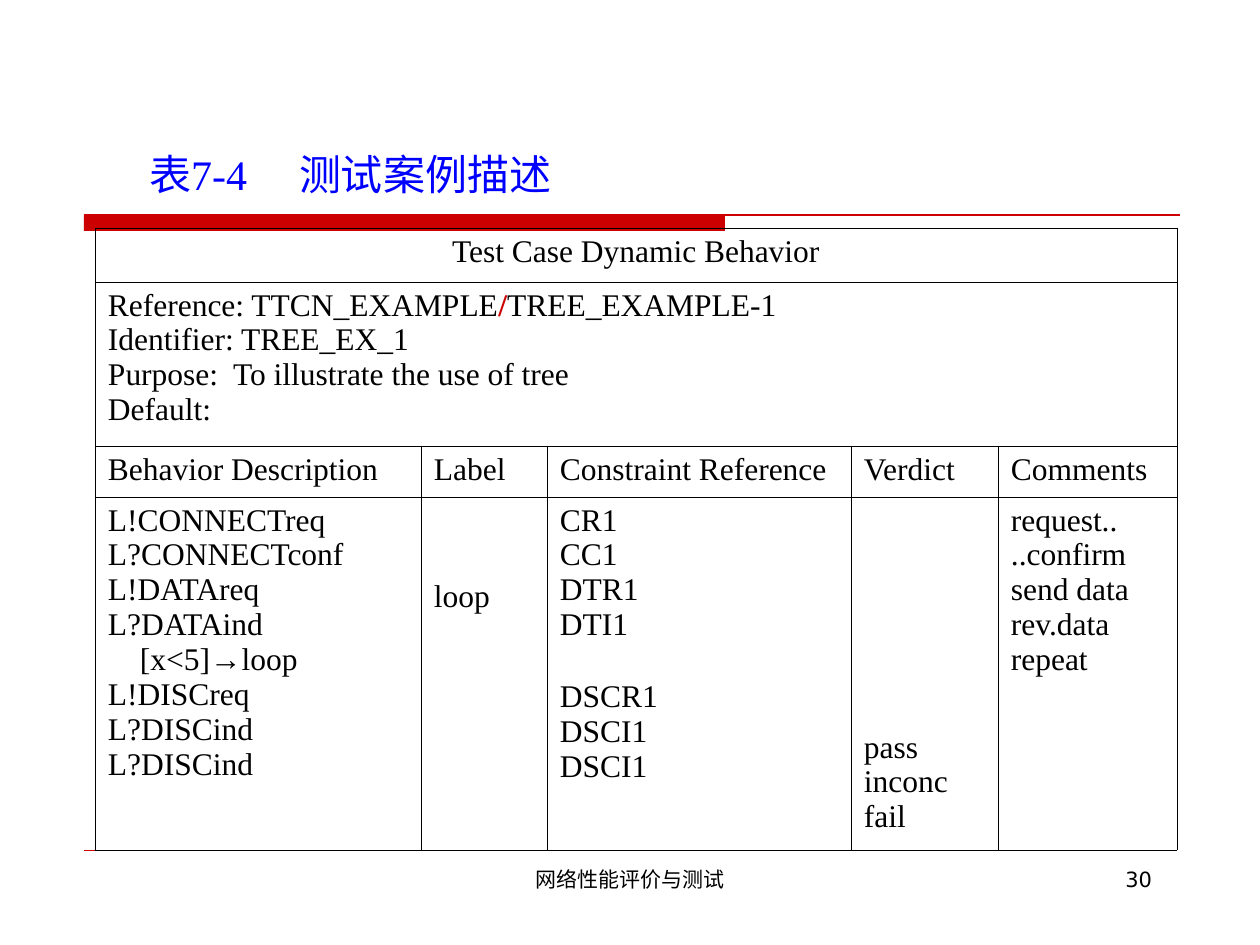
from lxml import etree
from pptx import Presentation
from pptx.dml.color import RGBColor
from pptx.enum.shapes import MSO_CONNECTOR, MSO_SHAPE
from pptx.enum.text import MSO_ANCHOR, MSO_AUTO_SIZE, PP_ALIGN
from pptx.oxml.ns import qn
from pptx.util import Pt

LEFT, MID, RIGHT = PP_ALIGN.LEFT, PP_ALIGN.CENTER, PP_ALIGN.RIGHT
TOP, CENTRE = MSO_ANCHOR.TOP, MSO_ANCHOR.MIDDLE
RECT, STRAIGHT = MSO_SHAPE.RECTANGLE, MSO_CONNECTOR.STRAIGHT
NONE = MSO_AUTO_SIZE.NONE

SCALE = 914400 / 126  # EMU in one px
PAD_X, PAD_Y = 13, 6


class Theme:
    black, blue, red = (RGBColor.from_string(c) for c in ("000000", "0000FF", "CC0000"))
    title = {"name": "Times New Roman", "size": Pt(24), "color": blue, "bold": False}
    body = {"name": "Times New Roman", "size": Pt(18), "color": black, "bold": False}
    foot = {"name": "DejaVu Sans", "size": Pt(12), "color": black, "bold": False}
    slash = {"color": red, "bold": True}
    arrow = {"name": "Arial"}
    border = 0.45


COLS = [326, 126, 304, 147, 179]
ROWS = [54, 164, 51, 353]
HEADS = ["Behavior Description", "Label", "Constraint Reference", "Verdict", "Comments"]
ABOUT = [
    [("Reference: TTCN_EXAMPLE", {}), ("/", Theme.slash), ("TREE_EXAMPLE-1", {})],
    "Identifier: TREE_EX_1",
    "Purpose:\tTo illustrate the use of tree",
    "Default:",
]
STEPS = [
    "L!CONNECTreq", "L?CONNECTconf", "L!DATAreq", "L?DATAind",
    [("[x<5]", {}), ("→", Theme.arrow), ("loop", {})],
    "L!DISCreq", "L?DISCind", "L?DISCind",
]
REFS = ["CR1", "CC1", "DTR1", "DTI1", "DSCR1", "DSCI1", "DSCI1"]
NOTES = ["request..", "..confirm", "send data", "rev.data", "repeat"]


def px(n):
    return round(n * SCALE)


def style(font, look):
    for key, value in look.items():
        if key == "color":
            font.color.rgb = value
        else:
            setattr(font, key, value)


def write(frame, lines, look, align=LEFT):
    """Fill a text frame; a line is a string or a list of (text, look) runs."""
    for i, line in enumerate(lines):
        para = frame.paragraphs[0] if i == 0 else frame.add_paragraph()
        para.alignment = align
        for text, extra in [(line, {})] if isinstance(line, str) else line:
            run = para.add_run()
            run.text = text
            style(run.font, {**look, **extra})


def set_tab(para, at):
    tabs = etree.SubElement(para._p.get_or_add_pPr(), qn("a:tabLst"))
    etree.SubElement(tabs, qn("a:tab"), pos=str(px(at)), algn="l")


def pad(item, top=PAD_Y):
    for side, n in {"left": PAD_X, "right": PAD_X, "top": top, "bottom": PAD_Y}.items():
        setattr(item, f"margin_{side}", px(n))


def add_line(slide, x, y, width, weight):
    line = slide.shapes.add_connector(STRAIGHT, px(x), px(y), px(x + width), px(y))
    line.line.color.rgb = Theme.red
    line.line.width = Pt(weight)
    etree.SubElement(line._element.spPr, qn("a:effectLst"))


def add_rules(slide, x, y, width, height):
    # Thick bar running into a thin line, and a hairline at the foot
    bar = slide.shapes.add_shape(RECT, px(x), px(y), px(641), px(16))
    bar.shadow.inherit = False
    bar.fill.solid()
    bar.fill.fore_color.rgb = Theme.red
    bar.line.fill.background()
    add_line(slide, x, y, width, 0.75)
    add_line(slide, x, y + height, width - 5, 0.25)


def add_title(slide, x, y, width, height):
    title = slide.shapes.title
    title.left, title.top, title.width, title.height = map(px, (x, y, width, height))
    frame = title.text_frame
    frame.auto_size, frame.word_wrap = NONE, True
    frame.vertical_anchor = CENTRE
    pad(frame)
    set_tab(frame.paragraphs[0], 150)
    write(frame, ["表7-4\t测试案例描述"], Theme.title)


def add_foot(slide, x, y, width, height, text, align):
    frame = slide.shapes.add_textbox(*map(px, (x, y, width, height))).text_frame
    frame.word_wrap = True
    pad(frame)
    write(frame, [text], Theme.foot, align)


def frame_cell(cell):
    props = cell._tc.get_or_add_tcPr()
    for side in "LRTB":
        edge = etree.SubElement(props, qn(f"a:ln{side}"), w=str(Pt(Theme.border)))
        fill = etree.SubElement(edge, qn("a:solidFill"))
        etree.SubElement(fill, qn("a:srgbClr"), val=str(Theme.black))
    cell.fill.background()


def add_case(slide, x, y):
    box = map(px, (x, y, sum(COLS), sum(ROWS)))
    table = slide.shapes.add_table(len(ROWS), len(COLS), *box).table
    table.first_row = table.horz_banding = False
    for col, width in zip(table.columns, COLS):
        col.width = px(width)
    for row, height in zip(table.rows, ROWS):
        row.height = px(height)
    for cell in table.iter_cells():
        frame_cell(cell)
        pad(cell)
        cell.vertical_anchor = TOP

    # Two full-width rows
    for r in (0, 1):
        table.cell(r, 0).merge(table.cell(r, len(COLS) - 1))
    write(table.cell(0, 0).text_frame, ["Test Case Dynamic Behavior"], Theme.body, MID)
    about = table.cell(1, 0).text_frame
    write(about, ABOUT, Theme.body)
    set_tab(about.paragraphs[2], 125)

    # Column heads and the behaviour below them, each with its drop from the top
    drops = [0, 76, 0, 227, 0]
    lists = [STEPS, ["loop"], REFS, ["pass", "inconc", "fail"], NOTES]
    for c, (head, lines, drop) in enumerate(zip(HEADS, lists, drops)):
        write(table.cell(2, c).text_frame, [head], Theme.body)
        cell = table.cell(3, c)
        pad(cell, PAD_Y + drop)
        write(cell.text_frame, lines, Theme.body)
    loop = table.cell(3, 0).text_frame.paragraphs[4]
    loop._p.get_or_add_pPr().set("marL", str(px(32)))
    table.cell(3, 2).text_frame.paragraphs[4].space_before = Pt(21)


def main():
    deck = Presentation()
    deck.slide_width, deck.slide_height = px(1260), px(945)
    slide = deck.slides.add_slide(deck.slide_layouts[5])
    add_rules(slide, 84, 215, 1096, 635)
    add_foot(slide, 431, 861, 399, 63, "网络性能评价与测试", MID)
    add_foot(slide, 903, 861, 262, 63, "30", RIGHT)
    add_title(slide, 136, 142, 620, 63)
    add_case(slide, 95, 228)
    deck.save("out.pptx")


if __name__ == "__main__":
    main()
